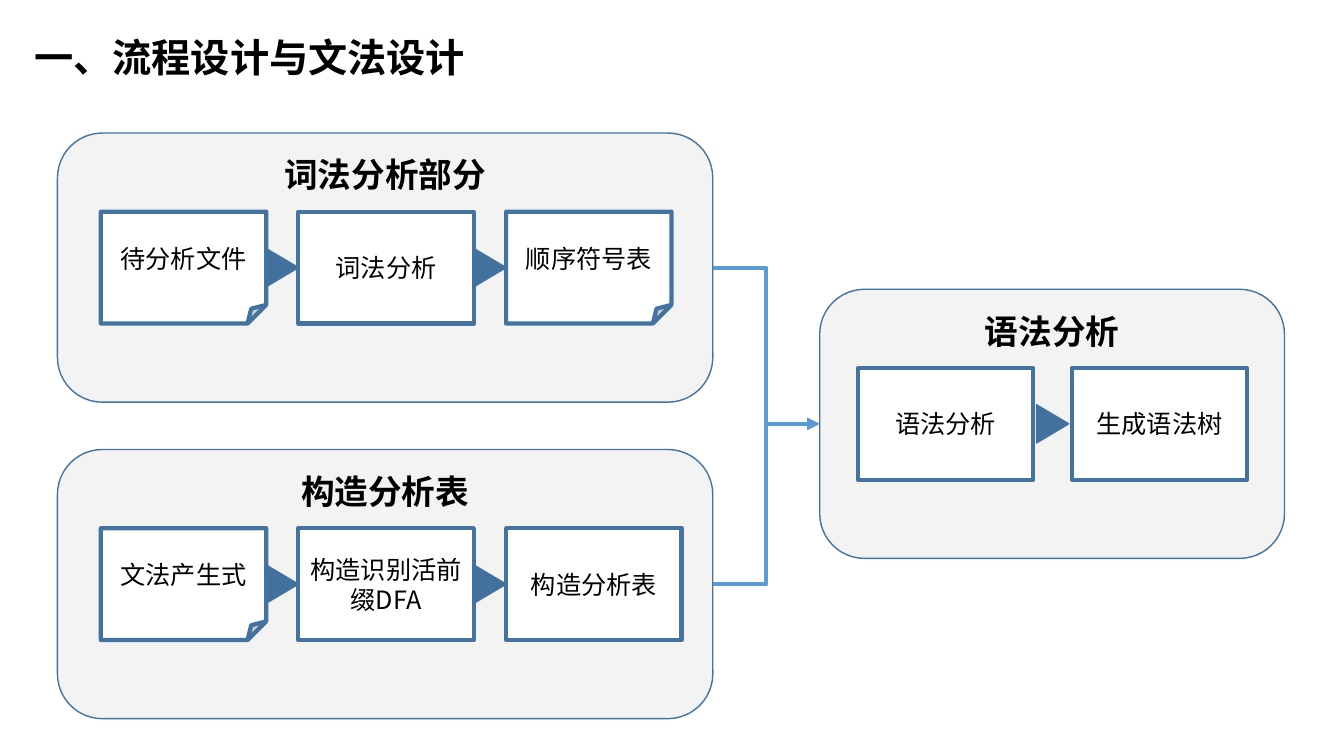
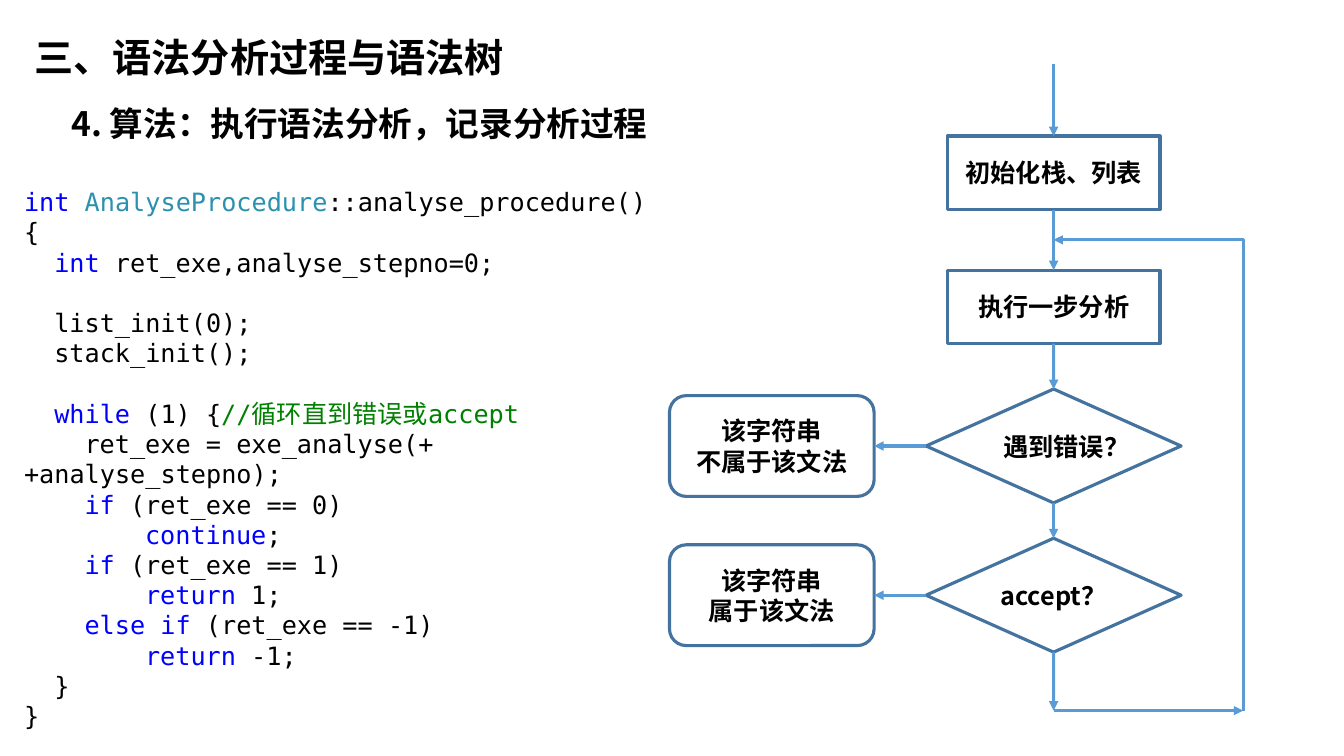
from lxml import etree
from pptx import Presentation
from pptx import util as u
from pptx.dml.color import RGBColor
from pptx.enum import shapes, text
from pptx.oxml.ns import qn

# Shared look
COLOURS = {"ink": "000000", "paper": "FFFFFF", "panel": "E7E6E6", "edge": "43739E",
           "arrow": "41719C", "flow": "5B9BD5", "keyword": "0000FF",
           "class": "2B91AF", "comment": "008000"}
SANS, MONO = "Noto Sans CJK SC", "DejaVu Sans Mono"
LINE_RATIO = 1.2
TOP, LEFT, BOTTOM, RIGHT = range(4)
KIND = shapes.MSO_SHAPE
FILE, STEP, VERDICT, QUESTION = (KIND.FOLDED_CORNER, KIND.RECTANGLE,
                                 KIND.ROUNDED_RECTANGLE, KIND.DIAMOND)

# Slide 1: panels of steps
PROCESS_TITLE = "一、流程设计与文法设计"
PANELS = [
    {"title": "词法分析部分", "box": (0.57, 1.32, 6.5, 2.67), "first": 1.0, "gap": 0.32,
     "steps": [("待分析文件", FILE), ("词法分析", STEP), ("顺序符号表", FILE)]},
    {"title": "构造分析表", "box": (0.57, 4.46, 6.5, 2.67), "first": 1.0, "gap": 0.32,
     "steps": [("文法产生式", FILE), ("构造识别活前缀DFA", STEP), ("构造分析表", STEP)]},
    {"title": "语法分析", "box": (8.13, 2.87, 4.61, 2.67), "first": 8.51, "gap": 0.38,
     "steps": [("语法分析", STEP), ("生成语法树", STEP)]},
]
STEP_WIDTH = {FILE: 1.64, STEP: 1.74}
STEP_HEIGHT, STEP_DROP = 1.11, 0.78
ARROW_BASE, ARROW_LENGTH = 0.38, 0.32

# Slide 2: code lines as (indent in characters, blank lines above, runs)
PARSING_TITLE = "三、语法分析过程与语法树"
ALGORITHM = "4. 算法：执行语法分析，记录分析过程"
CODE = [
    (0, 0, [("int ", "keyword"), ("AnalyseProcedure", "class"),
            ("::analyse_procedure()", "ink")]),
    (0, 0, [("{", "ink")]),
    (2, 0, [("int", "keyword"), (" ret_exe,analyse_stepno=0;", "ink")]),
    (2, 1, [("list_init(0);", "ink")]),
    (2, 0, [("stack_init();", "ink")]),
    (2, 1, [("while", "keyword"), (" (1) {", "ink"), ("//循环直到错误或accept", "comment")]),
    (4, 0, [("ret_exe = exe_analyse(++analyse_stepno);", "ink")]),
    (4, 0, [("if", "keyword"), (" (ret_exe == 0)", "ink")]),
    (8, 0, [("continue", "keyword"), (";", "ink")]),
    (4, 0, [("if", "keyword"), (" (ret_exe == 1)", "ink")]),
    (8, 0, [("return", "keyword"), (" 1;", "ink")]),
    (4, 0, [("else if", "keyword"), (" (ret_exe == -1)", "ink")]),
    (8, 0, [("return", "keyword"), (" -1;", "ink")]),
    (2, 0, [("}", "ink")]),
    (0, 0, [("}", "ink")]),
]
CODE_SIZE, CODE_CHARACTER = 18, 0.15

# Flowchart: (lines, kind, top, verdict to the left)
FLOW = [
    (["初始化栈、列表"], STEP, 1.35, None),
    (["执行一步分析"], STEP, 2.68, None),
    (["遇到错误？"], QUESTION, 3.86, ["该字符串", "不属于该文法"]),
    (["accept？"], QUESTION, 5.34, ["该字符串", "属于该文法"]),
]
FLOW_SIZE = {STEP: (2.11, 0.73), QUESTION: (2.53, 1.13), VERDICT: (2.03, 1.0)}
FLOW_CENTRE, VERDICT_LEFT = 10.45, 6.64
FLOW_START, FLOW_END, LOOP_X, LOOP_Y = 0.64, 7.05, 12.33, 2.38


def rgb(name):
    return RGBColor.from_string(COLOURS[name])


def lengths(*values):
    return [u.Inches(value) for value in values]


def add_run(paragraph, words, size, bold=False, colour="ink", font=SANS):
    run = paragraph.add_run()
    run.text = words
    run.font.size, run.font.bold = u.Pt(size), bold
    run.font.color.rgb = rgb(colour)
    run.font.name = font
    etree.SubElement(run.font._element, qn("a:ea"), typeface=SANS)
    paragraph.line_spacing = u.Pt(size * LINE_RATIO)


def write(frame, lines, size, bold, align):
    for index, line in enumerate(lines):
        paragraph = frame.add_paragraph() if index else frame.paragraphs[0]
        paragraph.alignment = align
        add_run(paragraph, line, size, bold)


def add_titled_slide(presentation, title):
    slide = presentation.slides.add_slide(presentation.slide_layouts[5])
    shape = slide.shapes.title
    shape.left, shape.top, shape.width, shape.height = lengths(0.24, 0.28, 8, 0.57)
    frame = shape.text_frame
    frame.auto_size = text.MSO_AUTO_SIZE.NONE
    frame.vertical_anchor = text.MSO_ANCHOR.TOP
    write(frame, [title], 28, True, text.PP_ALIGN.LEFT)
    return slide


def add_box(slide, kind, box, lines=(), size=18, bold=False, fill="paper", edge=3):
    shape = slide.shapes.add_shape(kind, *lengths(*box))
    shape.shadow.inherit = False
    shape.fill.solid()
    shape.fill.fore_color.rgb = rgb(fill)
    shape.line.color.rgb = rgb("edge")
    shape.line.width = u.Pt(edge)
    shape.text_frame.vertical_anchor = text.MSO_ANCHOR.MIDDLE
    write(shape.text_frame, lines, size, bold, text.PP_ALIGN.CENTER)
    return shape


def add_text_box(slide, box):
    frame = slide.shapes.add_textbox(*lengths(*box)).text_frame
    frame.word_wrap = True
    return frame


def add_arrow(slide, start, end, width=2.25, kind=shapes.MSO_CONNECTOR.STRAIGHT):
    """Each end is a point in inches or a (shape, side) pair."""
    points = [(0, 0) if hasattr(place[0], "shape_type") else place for place in (start, end)]
    line = slide.shapes.add_connector(kind, *lengths(*points[0], *points[1]))
    for place, connect in ((start, line.begin_connect), (end, line.end_connect)):
        if hasattr(place[0], "shape_type"):
            connect(*place)
    line.line.color.rgb = rgb("flow")
    line.line.width = u.Pt(width)
    etree.SubElement(line.line._get_or_add_ln(), qn("a:tailEnd"), type="triangle")
    etree.SubElement(line._element.spPr, qn("a:effectLst"))
    return line


def add_panel(slide, panel):
    shape = add_box(slide, VERDICT, panel["box"], [panel["title"]], 24, True, "panel", 1)
    shape.text_frame.vertical_anchor = text.MSO_ANCHOR.TOP
    shape.text_frame.margin_top = u.Inches(0.08)
    colour = shape._element.spPr.find(qn("a:solidFill"))[0]
    etree.SubElement(colour, qn("a:alpha"), val="46000")
    left, top = panel["first"], panel["box"][1] + STEP_DROP
    for index, (label, kind) in enumerate(panel["steps"]):
        if index:
            # Wedge centred in the gap before this step
            arrow = add_box(slide, KIND.ISOSCELES_TRIANGLE,
                            (left - panel["gap"] / 2 - ARROW_BASE / 2,
                             top + STEP_HEIGHT / 2 - ARROW_LENGTH / 2,
                             ARROW_BASE, ARROW_LENGTH), fill="arrow", edge=1)
            arrow.rotation = 90
        add_box(slide, kind, (left, top, STEP_WIDTH[kind], STEP_HEIGHT), [label])
        left += STEP_WIDTH[kind] + panel["gap"]
    return shape


def build_process(presentation):
    slide = add_titled_slide(presentation, PROCESS_TITLE)
    *sources, target = [add_panel(slide, panel) for panel in PANELS]
    for source in sources:
        add_arrow(slide, (source, RIGHT), (target, LEFT), 3, shapes.MSO_CONNECTOR.ELBOW)


def add_code(slide):
    frame = add_text_box(slide, (0.14, 1.8, 6.67, 5.25))
    for index, (indent, blanks, runs) in enumerate(CODE):
        paragraph = frame.add_paragraph() if index else frame.paragraphs[0]
        for words, colour in runs:
            add_run(paragraph, words, CODE_SIZE, colour=colour, font=MONO)
        paragraph.space_before = u.Pt(blanks * CODE_SIZE * LINE_RATIO)
        properties = paragraph._p.get_or_add_pPr()
        properties.set("marL", "0")
        properties.set("indent", str(u.Inches(indent * CODE_CHARACTER)))


def add_flowchart(slide):
    previous = (FLOW_CENTRE, FLOW_START)
    for lines, kind, top, verdict in FLOW:
        width, height = FLOW_SIZE[kind]
        node = add_box(slide, kind, (FLOW_CENTRE - width / 2, top, width, height),
                       lines, bold=True, edge=2.25)
        add_arrow(slide, previous, (node, TOP))
        previous = (node, BOTTOM)
        if verdict:
            verdict_width, verdict_height = FLOW_SIZE[VERDICT]
            result = add_box(slide, VERDICT,
                             (VERDICT_LEFT, top + (height - verdict_height) / 2,
                              verdict_width, verdict_height), verdict, bold=True, edge=2.25)
            add_arrow(slide, (node, LEFT), (result, RIGHT))
    # Way back to the next step
    add_arrow(slide, previous, (FLOW_CENTRE, FLOW_END))
    add_arrow(slide, (FLOW_CENTRE, FLOW_END), (LOOP_X, FLOW_END))
    loop = add_arrow(slide, (LOOP_X, FLOW_END), (FLOW_CENTRE, LOOP_Y),
                     kind=shapes.MSO_CONNECTOR.ELBOW)
    geometry = loop._element.spPr.find(qn("a:prstGeom"))
    guides = geometry.find(qn("a:avLst"))
    if guides is None:
        guides = etree.SubElement(geometry, qn("a:avLst"))
    etree.SubElement(guides, qn("a:gd"), name="adj1", fmla="val 0")


def build_parsing(presentation):
    slide = add_titled_slide(presentation, PARSING_TITLE)
    write(add_text_box(slide, (0.61, 0.97, 5.95, 0.9)), [ALGORITHM], 24, True,
          text.PP_ALIGN.LEFT)
    add_flowchart(slide)
    add_code(slide)


def main():
    presentation = Presentation()
    presentation.slide_width, presentation.slide_height = lengths(13.33, 7.5)
    build_process(presentation)
    build_parsing(presentation)
    presentation.save("out.pptx")


if __name__ == "__main__":
    main()
